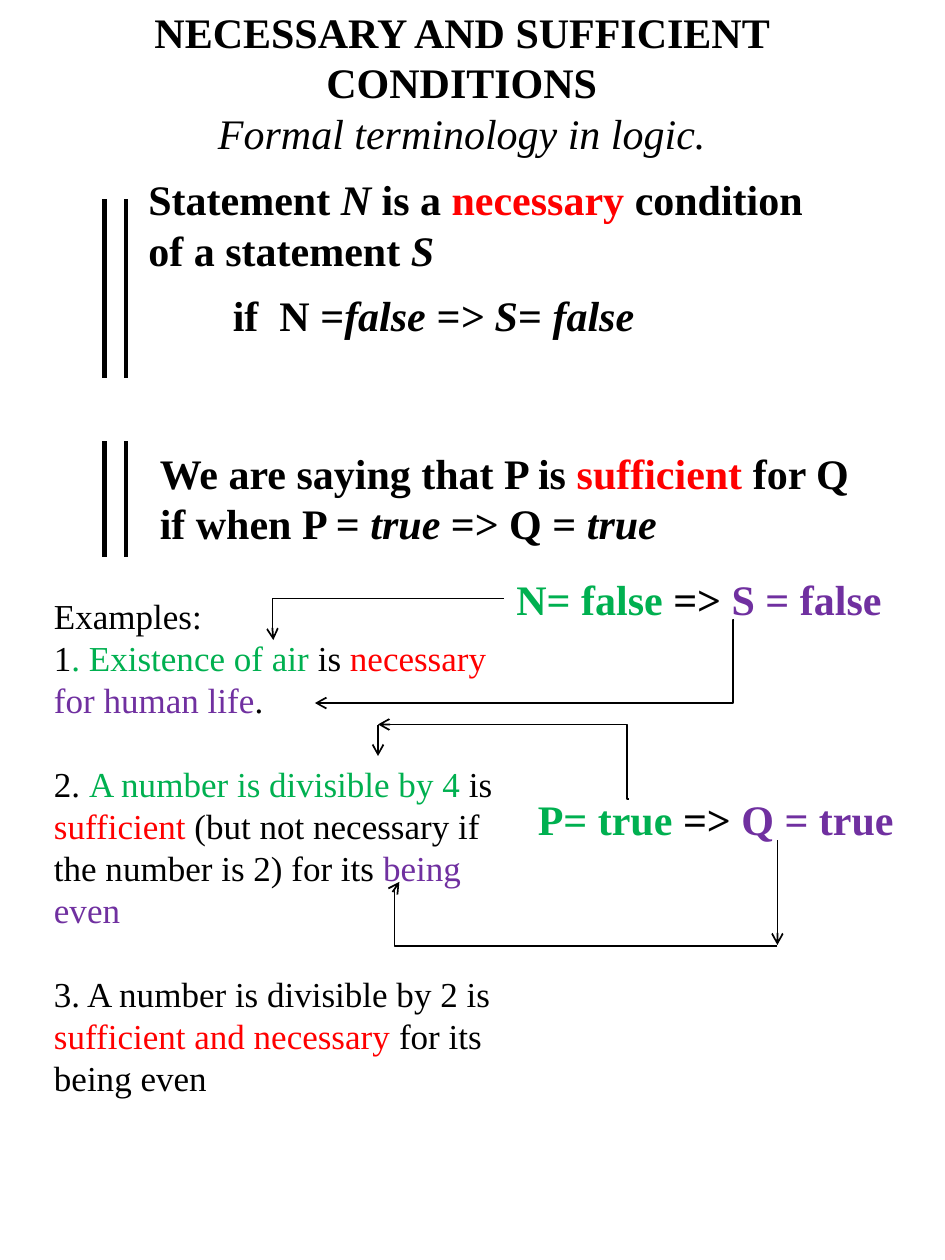
import pptx
import pptx.util
import pptx.dml.color
import pptx.enum.shapes
import pptx.enum.text
import pptx.oxml.ns
import lxml.etree

Inches = pptx.util.Inches
Pt = pptx.util.Pt
RGB = pptx.dml.color.RGBColor
Kind = pptx.enum.shapes.MSO_CONNECTOR
Fit = pptx.enum.text.MSO_AUTO_SIZE
qn = pptx.oxml.ns.qn

BLACK = RGB(0x00, 0x00, 0x00)
RED = RGB(0xFF, 0x00, 0x00)
GREEN = RGB(0x00, 0xB0, 0x50)
VIOLET = RGB(0x70, 0x30, 0xA0)
PLAIN = {"name": "Times New Roman", "size": Pt(20), "bold": False, "italic": False}
BOLD = {**PLAIN, "size": Pt(24), "bold": True}
SLANT = {**BOLD, "italic": True}
SUB = {**SLANT, "bold": False}


def write(frame, paras, wrap=True):
    frame.word_wrap = wrap
    frame.auto_size = Fit.NONE
    frame.vertical_anchor = pptx.enum.text.MSO_ANCHOR.TOP
    for i, runs in enumerate(paras):
        para = frame.add_paragraph() if i else frame.paragraphs[0]
        for text, form, color in runs:
            run = para.add_run()
            run.text = text
            for key, value in form.items():
                setattr(run.font, key, value)
            run.font.color.rgb = color


def link(start, end, width, arrow=False, bend=None):
    kind = Kind.STRAIGHT if bend is None else Kind.ELBOW
    line = slide.shapes.add_connector(kind, *map(Inches, start + end))
    line.line.color.rgb = BLACK
    line.line.width = Pt(width)
    props = line._element.spPr
    if bend is not None:
        guides = props.find(qn("a:prstGeom")).get_or_add_avLst()
        lxml.etree.SubElement(guides, qn("a:gd"), name="adj1", fmla=f"val {round(bend * 100000)}")
    if arrow:
        lxml.etree.SubElement(props.find(qn("a:ln")), qn("a:tailEnd"), type="arrow")
    lxml.etree.SubElement(props, qn("a:effectLst"))


deck = pptx.Presentation()
deck.slide_width = Inches(7.5)
deck.slide_height = Inches(10)
slide = deck.slides.add_slide(deck.slide_layouts[5])

title = slide.shapes.title
place = {"left": 0.75, "top": 0, "width": 5.83, "height": 1.31}
for key, value in place.items():
    setattr(title, key, Inches(value))
write(title.text_frame, [
    [("NECESSARY AND SUFFICIENT CONDITIONS", BOLD, BLACK)],
    [("Formal terminology in logic.", SUB, BLACK)],
])
for para in title.text_frame.paragraphs:
    para.alignment = pptx.enum.text.PP_ALIGN.CENTER

notes = [
    ((1.08, 1.33, 5.67, 0.91), True, [
        ("Statement ", BOLD, BLACK), ("N", SLANT, BLACK), (" is a ", BOLD, BLACK),
        ("necessary", BOLD, RED), (" condition of a statement ", BOLD, BLACK),
        ("S", SLANT, BLACK)]),
    ((1.75, 2.25, 3.47, 0.51), False, [
        ("if  N =", BOLD, BLACK), ("false => S", SLANT, BLACK),
        ("= ", BOLD, BLACK), ("false", SLANT, BLACK)]),
    ((1.17, 3.5, 5.67, 0.91), True, [
        ("We are saying that P is ", BOLD, BLACK), ("sufficient", BOLD, RED),
        (" for Q if when P = ", BOLD, BLACK), ("true ", SLANT, BLACK),
        ("=> Q = ", BOLD, BLACK), ("true", SLANT, BLACK)]),
    ((4, 4.5, 3.13, 0.51), False, [
        ("N= false ", BOLD, GREEN), ("=> ", BOLD, BLACK), ("S = false", BOLD, VIOLET)]),
    ((4.17, 6.25, 3.05, 0.51), False, [
        ("P= true ", BOLD, GREEN), ("=> ", BOLD, BLACK), ("Q = true", BOLD, VIOLET)]),
]
for spot, wrap, runs in notes:
    box = slide.shapes.add_textbox(*map(Inches, spot))
    write(box.text_frame, [runs], wrap)

cases = slide.shapes.add_textbox(Inches(0.33), Inches(4.67), Inches(3.75), Inches(4.14))
write(cases.text_frame, [
    [("Examples:", PLAIN, BLACK)],
    [("1", PLAIN, BLACK), (". Existence of air ", PLAIN, GREEN), ("is ", PLAIN, BLACK),
     ("necessary ", PLAIN, RED), ("for human life", PLAIN, VIOLET), (".", PLAIN, BLACK)],
    [("2. ", PLAIN, BLACK), ("A number is divisible by 4 ", PLAIN, GREEN),
     ("is ", PLAIN, BLACK), ("sufficient", PLAIN, RED),
     (" (but not necessary if the number is 2) for its ", PLAIN, BLACK),
     ("being even", PLAIN, VIOLET)],
    [("3. A number is divisible by 2 is ", PLAIN, BLACK),
     ("sufficient and necessary ", PLAIN, RED), ("for its being even", PLAIN, BLACK)],
])
for para in cases.text_frame.paragraphs[2:]:
    para.space_before = Pt(24)

for top, end in [(1.58, 3), (3.5, 4.42)]:
    for x in (0.83, 1):
        link((x, top), (x, end), 2.5)

arrows = [
    ((5.83, 4.92), (2.5, 5.58), 0.004),
    ((4, 4.75), (2.17, 5.08), 1.004),
    ((4.99, 6.34), (3, 5.75), 0.008),
    ((3, 5.75), (3, 6), None),
    ((6.17, 7.51), (3.17, 7), 1.013),
    ((6.17, 6.67), (6.17, 7.5), None),
]
for start, end, bend in arrows:
    link(start, end, 1, True, bend)

deck.save("out.pptx")
